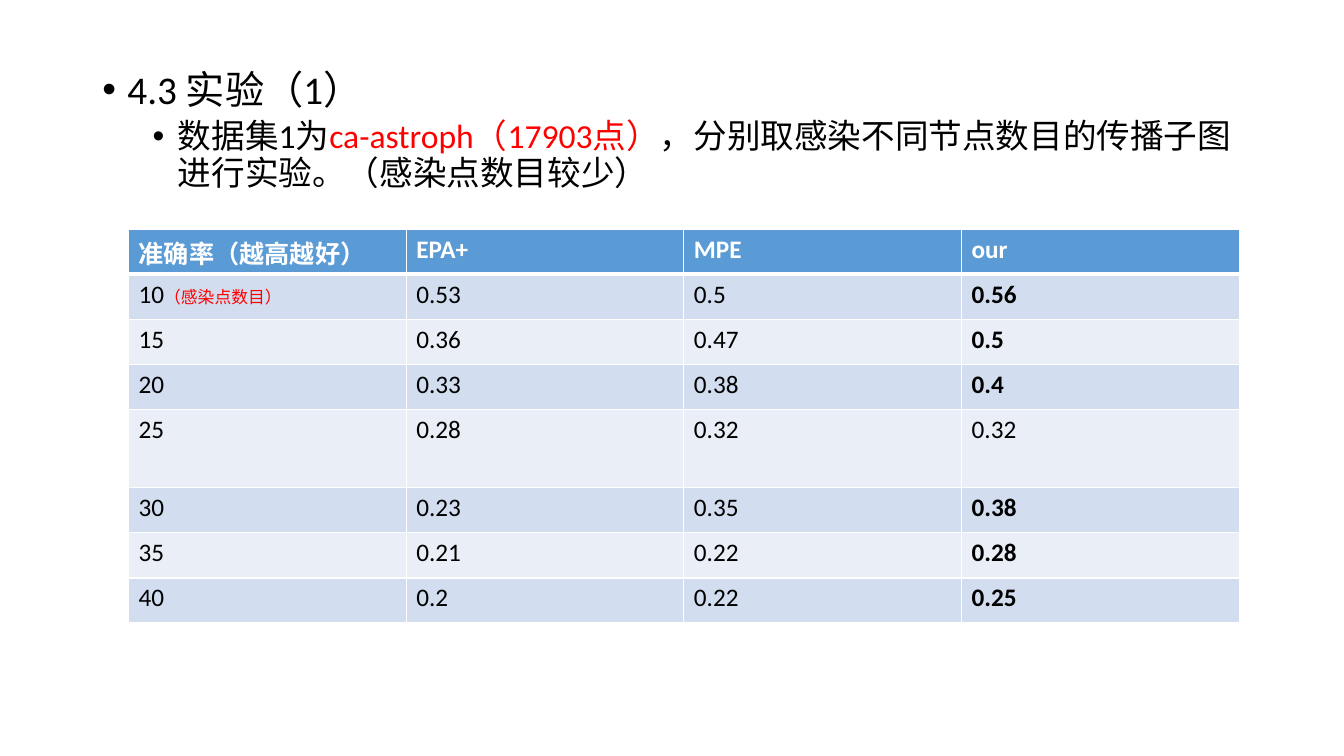
from dataclasses import dataclass

from lxml import etree
from pptx import Presentation
from pptx.dml.color import RGBColor
from pptx.enum.text import MSO_ANCHOR
from pptx.oxml.ns import qn
from pptx.util import Pt

TOP = MSO_ANCHOR.TOP


@dataclass(frozen=True)
class Theme:
    """Colours, font and type sizes of the slide."""
    font: str = "Calibri"
    bullet_font: str = "Arial"
    ink: str = "000000"
    accent: str = "FF0000"
    white: str = "FFFFFF"
    header: str = "5B9BD5"
    bands: tuple[str, str] = ("D2DEEF", "EAEFF7")
    title_size: float = 28
    body_size: float = 24
    table_size: float = 18
    note_size: float = 12


@dataclass(frozen=True)
class Span:
    """A stretch of text in one format."""
    text: str
    size: float
    color: str
    bold: bool = False


@dataclass(frozen=True)
class Bullet:
    """A bulleted paragraph."""
    spans: tuple[Span, ...]
    level: int
    indent: float
    before: float


@dataclass(frozen=True)
class Result:
    """Accuracy of each method for one number of infected nodes."""
    nodes: str
    epa: str
    mpe: str
    our: str
    note: str = ""
    height: float = 32.2
    best: bool = True


THEME = Theme()
HANGING = 18
HEADER_HEIGHT = 32.2
COLUMN_WIDTH = 198.36
THIN, THICK = 1, 3

BULLETS = (
    Bullet((Span("4.3 实验（1）", THEME.title_size, THEME.ink),), 0, 18, 0),
    Bullet((
        Span("数据集1为", THEME.body_size, THEME.ink),
        Span("ca-astroph（17903点）", THEME.body_size, THEME.accent),
        Span("，分别取感染不同节点数目的传播子图进行实验。（感染点数目较少）",
             THEME.body_size, THEME.ink),
    ), 1, 54, 5),
)

HEADINGS = ("准确率（越高越好）", "EPA+", "MPE", "our")
RESULTS = (
    Result("10", "0.53", "0.5", "0.56", note="（感染点数目）"),
    Result("15", "0.36", "0.47", "0.5"),
    Result("20", "0.33", "0.38", "0.4"),
    Result("25", "0.28", "0.32", "0.32", height=56.2, best=False),
    Result("30", "0.23", "0.35", "0.38"),
    Result("35", "0.21", "0.22", "0.28"),
    Result("40", "0.2", "0.22", "0.25"),
)


def write(para, text: str, *, size: float, color: str, bold: bool = False) -> None:
    """Add formatted text to a paragraph."""
    run = para.add_run()
    run.text = text
    font = run.font
    font.name, font.size, font.bold = THEME.font, Pt(size), bold
    font.color.rgb = RGBColor.from_string(color)


def write_spans(para, spans: tuple[Span, ...]) -> None:
    """Write every span into a paragraph."""
    for span in spans:
        write(para, span.text, size=span.size, color=span.color, bold=span.bold)


def draw_bullets(page, bullets: tuple[Bullet, ...]) -> None:
    """Draw the text box with the bulleted paragraphs."""
    box = page.shapes.add_textbox(Pt(66), Pt(46.8), Pt(828), Pt(486.7))
    frame = box.text_frame
    frame.word_wrap = True
    frame.vertical_anchor = TOP
    for index, bullet in enumerate(bullets):
        para = frame.add_paragraph() if index else frame.paragraphs[0]
        para.level = bullet.level
        properties = para._p.get_or_add_pPr()
        properties.set("marL", str(Pt(bullet.indent)))
        properties.set("indent", str(-Pt(HANGING)))
        etree.SubElement(properties, qn("a:buFont"), typeface=THEME.bullet_font)
        etree.SubElement(properties, qn("a:buChar"), char="•")
        para.line_spacing = 0.9
        para.space_before = Pt(bullet.before)
        write_spans(para, bullet.spans)


def set_borders(cell, top: float, bottom: float) -> None:
    """Give a cell white borders of the stated widths."""
    properties = cell._tc.get_or_add_tcPr()
    for side, width in (("L", THIN), ("R", THIN), ("T", top), ("B", bottom)):
        line = etree.SubElement(properties, qn(f"a:ln{side}"), w=str(Pt(width)))
        fill = etree.SubElement(line, qn("a:solidFill"))
        etree.SubElement(fill, qn("a:srgbClr"), val=THEME.white)


def draw_cell(cell, spans: tuple[Span, ...], color: str, top: float, bottom: float) -> None:
    """Fill one table cell with its text, borders and colour."""
    set_borders(cell, top, bottom)
    cell.fill.solid()
    cell.fill.fore_color.rgb = RGBColor.from_string(color)
    write_spans(cell.text_frame.paragraphs[0], spans)


def result_cells(result: Result) -> list[tuple[Span, ...]]:
    """Return the spans of each cell in a result row."""
    cells = [(Span(value, THEME.table_size, THEME.ink),)
             for value in (result.nodes, result.epa, result.mpe)]
    if result.note:
        cells[0] += (Span(result.note, THEME.note_size, THEME.accent),)
    return cells + [(Span(result.our, THEME.table_size, THEME.ink, result.best),)]


def draw_table(page, results: tuple[Result, ...]) -> None:
    """Draw the accuracy table."""
    heights = [HEADER_HEIGHT, *(result.height for result in results)]
    table = page.shapes.add_table(
        len(heights), len(HEADINGS), Pt(91.8), Pt(163.6),
        Pt(COLUMN_WIDTH * len(HEADINGS)), Pt(sum(heights))).table
    for column in table.columns:
        column.width = Pt(COLUMN_WIDTH)
    header = [(Span(text, THEME.table_size, THEME.white, True),) for text in HEADINGS]
    rows = [header, *map(result_cells, results)]
    for index, (height, cells) in enumerate(zip(heights, rows)):
        table.rows[index].height = Pt(height)
        color = THEME.bands[(index - 1) % 2] if index else THEME.header
        top = THICK if index == 1 else THIN
        bottom = THIN if index else THICK
        for column, spans in enumerate(cells):
            draw_cell(table.cell(index, column), spans, color, top, bottom)


def main() -> None:
    """Build and save the deck."""
    deck = Presentation()
    deck.slide_width, deck.slide_height = Pt(960), Pt(540)
    page = deck.slides.add_slide(deck.slide_layouts[6])
    draw_bullets(page, BULLETS)
    draw_table(page, RESULTS)
    deck.save("out.pptx")


if __name__ == "__main__":
    main()
